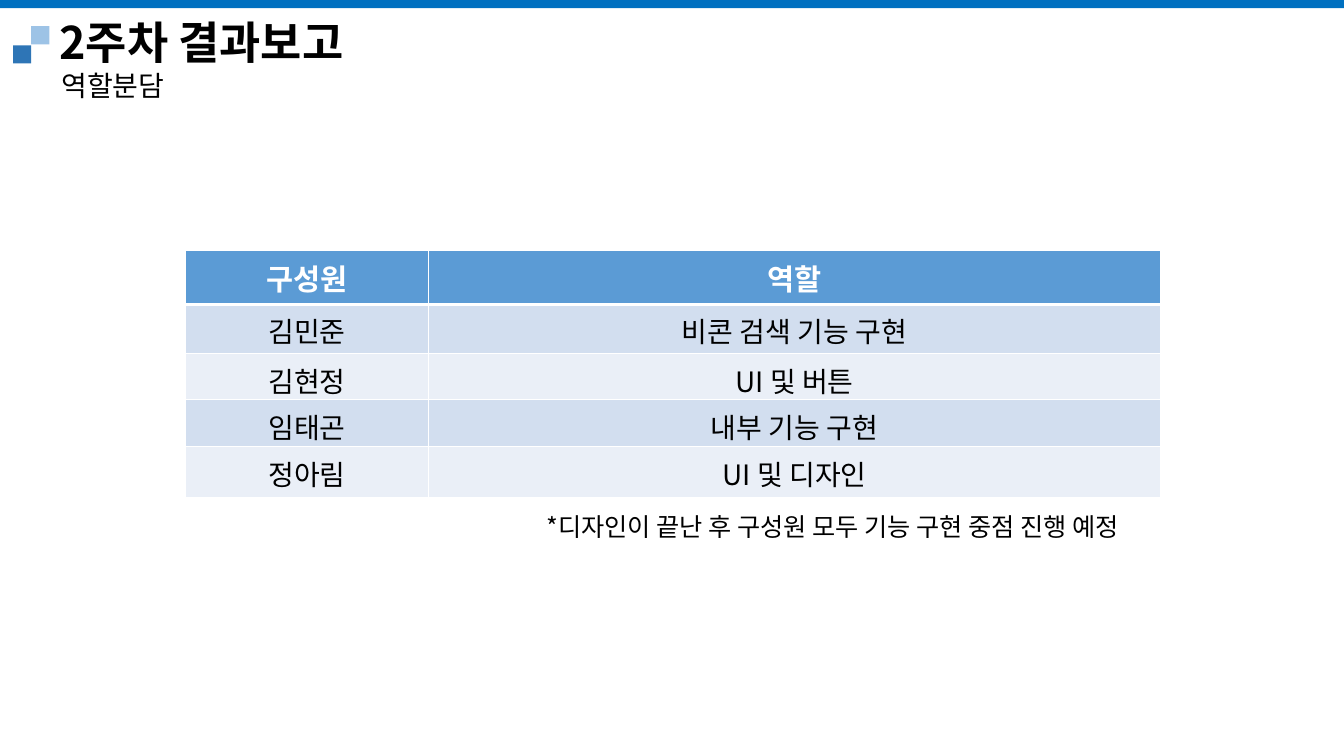
import pptx
import pptx.dml.color
import pptx.enum.shapes
import pptx.enum.text
import pptx.oxml
import pptx.oxml.ns
import pptx.util
from pptx.util import Inches

MSO_ANCHOR = pptx.enum.text.MSO_ANCHOR
PP_ALIGN = pptx.enum.text.PP_ALIGN


def rgb(value):
    return pptx.dml.color.RGBColor.from_string(value)


class Deck:
    """Hold the style and the current slide, and draw its elements."""

    font = "Noto Sans CJK KR"
    black, white = "000000", "FFFFFF"
    header_fill = "5B9BD5"
    band_fills = ("D2DEEF", "EAEFF7")

    def __init__(self, prs):
        self.s = prs.slides.add_slide(prs.slide_layouts[6])

    def style(self, p, size, color, bold=False):
        for r in p.runs:
            r.font.name = self.font
            r.font.size = pptx.util.Pt(size)
            r.font.bold = bold
            r.font.color.rgb = rgb(color)
            ea = pptx.oxml.parse_xml(
                f'<a:ea {pptx.oxml.ns.nsdecls("a")} typeface="{self.font}"/>')
            r.font._element.find(pptx.oxml.ns.qn("a:latin")).addnext(ea)

    def rect(self, shapes, x, y, w, h, fill):
        sp = shapes.add_shape(pptx.enum.shapes.MSO_SHAPE.RECTANGLE,
                              Inches(x), Inches(y), Inches(w), Inches(h))
        sp.shadow.inherit = False
        sp.fill.solid()
        sp.fill.fore_color.rgb = rgb(fill)
        sp.line.fill.background()

    def text(self, x, y, w, h, text, size, bold=False, grow=True, anchor=MSO_ANCHOR.TOP):
        tf = self.s.shapes.add_textbox(Inches(x), Inches(y), Inches(w), Inches(h)).text_frame
        tf.word_wrap = not grow
        if grow:
            tf.auto_size = pptx.enum.text.MSO_AUTO_SIZE.SHAPE_TO_FIT_TEXT
        tf.vertical_anchor = anchor
        tf.text = text
        p = tf.paragraphs[0]
        p.line_spacing = 0.9
        self.style(p, size, self.black, bold)

    def borders(self, cell, bottom):
        tcPr = cell._tc.get_or_add_tcPr()
        widths = {"lnL": 1, "lnR": 1, "lnT": 1, "lnB": bottom}
        for i, (side, width) in enumerate(widths.items()):
            tcPr.insert(i, pptx.oxml.parse_xml(
                f'<a:{side} {pptx.oxml.ns.nsdecls("a")} w="{pptx.util.Pt(width)}">'
                f'<a:solidFill><a:srgbClr val="{self.white}"/></a:solidFill></a:{side}>'))

    def table(self, x, y, widths, heights, rows):
        table = self.s.shapes.add_table(
            len(rows), len(widths), Inches(x), Inches(y),
            Inches(sum(widths)), Inches(sum(heights))).table
        for column, width in zip(table.columns, widths):
            column.width = Inches(width)
        for i, (row, height, values) in enumerate(zip(table.rows, heights, rows)):
            row.height = Inches(height)
            header = i == 0
            for cell, value in zip(row.cells, values):
                cell.margin_left = cell.margin_right = Inches(0.12)
                cell.margin_top = cell.margin_bottom = Inches(0.06)
                cell.fill.solid()
                cell.fill.fore_color.rgb = rgb(
                    self.header_fill if header else self.band_fills[(i - 1) % 2])
                self.borders(cell, 3 if header else 1)
                if i == 1:
                    top = cell._tc.tcPr.find(pptx.oxml.ns.qn("a:lnT"))
                    top.set("w", str(pptx.util.Pt(3)))
                cell.text_frame.text = value
                p = cell.text_frame.paragraphs[0]
                p.alignment = PP_ALIGN.CENTER
                if header:
                    self.style(p, 21, self.white, True)
                else:
                    self.style(p, 20, self.black)


def main():
    prs = pptx.Presentation()
    prs.slide_width, prs.slide_height = Inches(13.33), Inches(7.5)
    deck = Deck(prs)
    deck.text(0.49, 0.08, 3.93, 0.73, "2주차 결과보고", 32, True, False, MSO_ANCHOR.MIDDLE)
    marker = deck.s.shapes.add_group_shape().shapes
    deck.rect(marker, 0.31, 0.26, 0.18, 0.18, "9DC3E6")
    deck.rect(marker, 0.13, 0.45, 0.18, 0.18, "2E75B6")
    deck.rect(deck.s.shapes, -0.06, 0, 13.39, 0.08, "0070C0")
    deck.text(0.51, 0.67, 1.33, 0.4, "역할분담", 20)
    deck.table(1.84, 2.48, [2.41, 7.26], [0.54, 0.49, 0.44, 0.47, 0.5], [
        ("구성원", "역할"),
        ("김민준", "비콘 검색 기능 구현"),
        ("김현정", "UI 및 버튼"),
        ("임태곤", "내부 기능 구현"),
        ("정아림", "UI 및 디자인"),
    ])
    deck.text(5.32, 5.06, 6.19, 0.37,
              "*디자인이 끝난 후 구성원 모두 기능 구현 중점 진행 예정", 18)
    prs.save("out.pptx")


if __name__ == "__main__":
    main()
